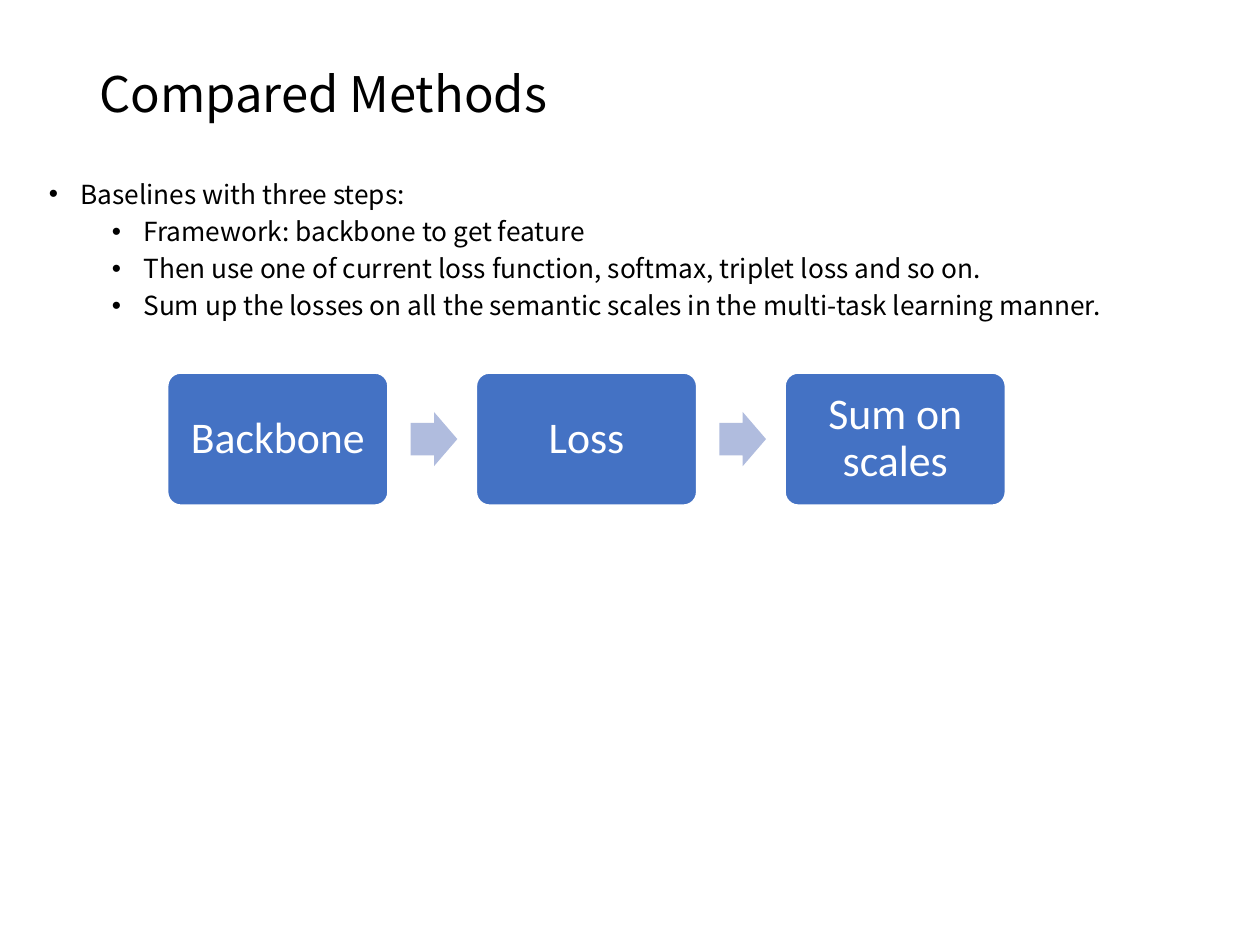
from dataclasses import dataclass

import pptx
import pptx.dml.color
import pptx.enum.shapes
import pptx.enum.text
import pptx.oxml.ns
import pptx.util
from lxml import etree

Inches = pptx.util.Inches
Pt = pptx.util.Pt
RGBColor = pptx.dml.color.RGBColor
Shape = pptx.enum.shapes.MSO_SHAPE
Anchor = pptx.enum.text.MSO_ANCHOR
Align = pptx.enum.text.PP_ALIGN

BLACK = RGBColor(0x00, 0x00, 0x00)
WHITE = RGBColor(0xFF, 0xFF, 0xFF)
STEP_BLUE = RGBColor(0x44, 0x72, 0xC4)
ARROW_BLUE = RGBColor(0xB0, 0xBC, 0xDE)
BODY_FONT = "Noto Sans CJK SC"
STEP_FONT = "Calibri"


@dataclass
class Area:
    left: float
    top: float
    width: float
    height: float

    def lengths(self) -> list:
        return [Inches(value) for value in
                (self.left, self.top, self.width, self.height)]


@dataclass
class Bullet:
    text: str
    level: int = 0


BULLETS = [
    Bullet("Baselines with three steps:"),
    Bullet("Framework: backbone to get feature", 1),
    Bullet("Then use one of current loss function, softmax, triplet loss and so on.", 1),
    Bullet("Sum up the losses on all the semantic scales in the multi-task learning manner.", 1),
]
STEPS = ["Backbone", "Loss", "Sum on scales"]
STEP_PITCH = 2.45


def apply(target, values: dict) -> None:
    for name, value in values.items():
        setattr(target, name, value)


def write(para, text: str, size: float, font: str, color: RGBColor) -> None:
    para.line_spacing = 0.9
    span = para.add_run()
    span.text = text
    apply(span.font, {"size": Pt(size), "name": font})
    span.font.color.rgb = color
    # East Asian face matches the Latin one
    face = etree.SubElement(span.font._element, pptx.oxml.ns.qn("a:ea"))
    face.set("typeface", font)


def add_text_box(page, area: Area, anchor):
    frame = page.shapes.add_textbox(*area.lengths()).text_frame
    apply(frame, {"word_wrap": True, "vertical_anchor": anchor})
    return frame


def add_bullet(para, bullet: Bullet) -> None:
    apply(para, {"level": bullet.level, "space_before": Pt(5 if bullet.level else 10)})
    write(para, bullet.text, 15, BODY_FONT, BLACK)
    properties = para._p.get_or_add_pPr()
    properties.set("marL", str(Inches(0.25 + 0.5 * bullet.level)))
    properties.set("indent", str(Inches(-0.25)))
    for tag, name, value in (("a:buFont", "typeface", "Arial"),
                             ("a:buChar", "char", "•")):
        etree.SubElement(properties, pptx.oxml.ns.qn(tag)).set(name, value)


def add_block(page, kind, area: Area, fill: RGBColor, adjustments: list):
    block = page.shapes.add_shape(kind, *area.lengths())
    block.shadow.inherit = False
    block.fill.solid()
    block.fill.fore_color.rgb = fill
    block.line.fill.background()
    for index, value in enumerate(adjustments):
        block.adjustments[index] = value
    return block


def add_step(page, text: str, left: float) -> None:
    block = add_block(page, Shape.ROUNDED_RECTANGLE,
                      Area(left, 2.96, 1.75, 1.05), STEP_BLUE, [0.1])
    block.line.color.rgb = WHITE
    block.line.width = Pt(1)
    frame = block.text_frame
    margin = Inches(0.1)
    apply(frame, {"word_wrap": True, "vertical_anchor": Anchor.MIDDLE,
                  "margin_left": margin, "margin_right": margin,
                  "margin_top": margin, "margin_bottom": margin})
    para = frame.paragraphs[0]
    para.alignment = Align.CENTER
    write(para, text, 25, STEP_FONT, WHITE)


def main() -> None:
    deck = pptx.Presentation()
    apply(deck, {"slide_width": Inches(10), "slide_height": Inches(7.5)})
    page = deck.slides.add_slide(deck.slide_layouts[6])

    # Title
    title = add_text_box(page, Area(0.69, 0.4, 8.62, 0.73), Anchor.MIDDLE)
    write(title.paragraphs[0], "Compared Methods", 28, BODY_FONT, BLACK)

    # Bulleted list
    body = add_text_box(page, Area(0.29, 1.39, 9.43, 1.45), Anchor.TOP)
    for index, bullet in enumerate(BULLETS):
        add_bullet(body.add_paragraph() if index else body.paragraphs[0], bullet)

    # Process steps, with an arrow before each step but the first
    for index, text in enumerate(STEPS):
        left = 1.33 + index * STEP_PITCH
        if index:
            add_block(page, Shape.RIGHT_ARROW, Area(left - 0.52, 3.27, 0.37, 0.43),
                      ARROW_BLUE, [0.6, 0.5])
        add_step(page, text, left)

    deck.save("out.pptx")


if __name__ == "__main__":
    main()
